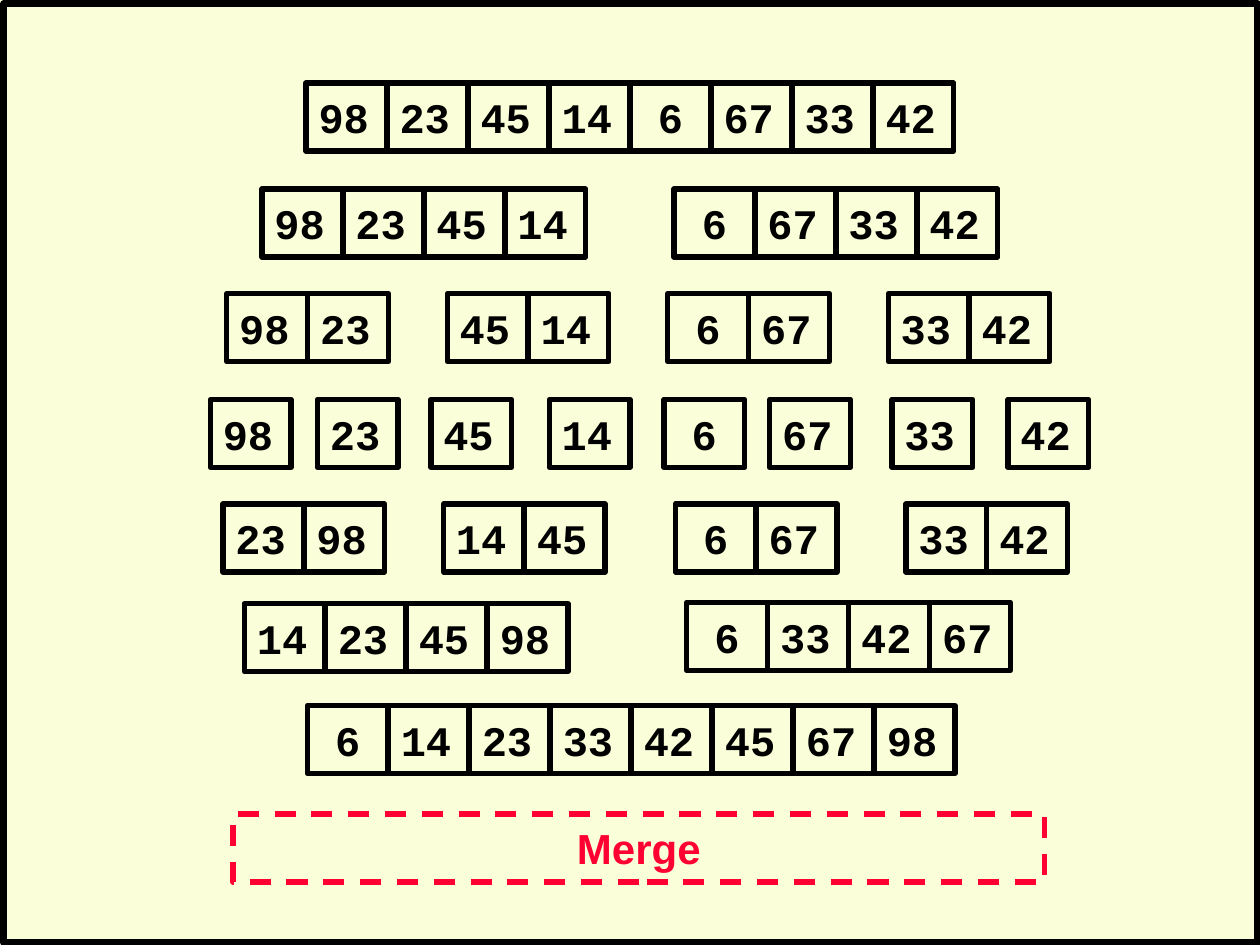
import pptx
import pptx.util
import pptx.dml.color
import pptx.enum.dml
import pptx.enum.shapes
import pptx.enum.text

Inches = pptx.util.Inches
RGBColor = pptx.dml.color.RGBColor
ALIGN = pptx.enum.text.PP_ALIGN

CREAM = RGBColor(0xFA, 0xFF, 0xD9)
BLACK = RGBColor(0x00, 0x00, 0x00)
RED = RGBColor(0xFF, 0x00, 0x33)

SIDE, HIGH = 0.64, 0.54  # size of one cell
STEP = 4.5 / 7           # cell pitch within a run

NUMBER = {"name": "Courier New", "size": pptx.util.Pt(24), "bold": True}
LABEL = {**NUMBER, "name": "Arial"}

# Each run of joined cells: left, top, numbers
RUNS = [
    # Split
    (2.43, 0.66, [98, 23, 45, 14, 6, 67, 33, 42]),
    (2.08, 1.5, [98, 23, 45, 14]),
    (5.35, 1.5, [6, 67, 33, 42]),
    (1.8, 2.33, [98, 23]),
    (3.55, 2.33, [45, 14]),
    (5.3, 2.33, [6, 67]),
    (7.05, 2.33, [33, 42]),
    # Single cells
    (1.67, 3.17, [98]),
    (2.52, 3.17, [23]),
    (3.42, 3.17, [45]),
    (4.36, 3.17, [14]),
    (5.27, 3.17, [6]),
    (6.11, 3.17, [67]),
    (7.08, 3.17, [33]),
    (8, 3.17, [42]),
    # Merge
    (1.77, 4, [23, 98]),
    (3.52, 4, [14, 45]),
    (5.36, 4, [6, 67]),
    (7.19, 4, [33, 42]),
    (1.94, 4.79, [14, 23, 45, 98]),
    (5.45, 4.78, [6, 33, 42, 67]),
    (2.44, 5.6, [6, 14, 23, 33, 42, 45, 67, 98]),
]


def add_box(slide, left, top, width, height, color, weight=3):
    """Add an unfilled, outlined rectangle."""
    box = slide.shapes.add_shape(
        pptx.enum.shapes.MSO_SHAPE.RECTANGLE,
        Inches(left), Inches(top), Inches(width), Inches(height))
    box.shadow.inherit = False
    box.fill.background()
    box.line.color.rgb = color
    box.line.width = pptx.util.Pt(weight)
    return box


def set_text(box, text, style, color, align, wrap):
    """Write one formatted line of text in a box."""
    frame = box.text_frame
    frame.word_wrap = wrap
    frame.vertical_anchor = pptx.enum.text.MSO_ANCHOR.MIDDLE
    line = frame.paragraphs[0]
    line.alignment = align
    run = line.add_run()
    run.text = text
    for key, value in style.items():
        setattr(run.font, key, value)
    run.font.color.rgb = color


def add_run(slide, left, top, values):
    """Add joined cells; one-digit numbers are centred."""
    for index, value in enumerate(values):
        box = add_box(slide, left + index * STEP, top, SIDE, HIGH, BLACK)
        align = ALIGN.CENTER if value < 10 else ALIGN.LEFT
        set_text(box, str(value), NUMBER, BLACK, align, False)


def add_label(slide, text):
    """Add the dashed label for the current phase."""
    box = add_box(slide, 1.85, 6.46, 6.44, HIGH, RED)
    box.line.dash_style = pptx.enum.dml.MSO_LINE.DASH
    set_text(box, text, LABEL, RED, ALIGN.CENTER, True)


def main():
    deck = pptx.Presentation()
    deck.slide_width, deck.slide_height = Inches(10), Inches(7.5)
    slide = deck.slides.add_slide(deck.slide_layouts[6])
    fill = slide.background.fill
    fill.solid()
    fill.fore_color.rgb = CREAM

    # Slide frame
    add_box(slide, 0.03, 0.03, 9.95, 7.45, BLACK, 3.75)
    # Number arrays
    for left, top, values in RUNS:
        add_run(slide, left, top, values)
    add_label(slide, "Merge")

    deck.save("out.pptx")


if __name__ == "__main__":
    main()
